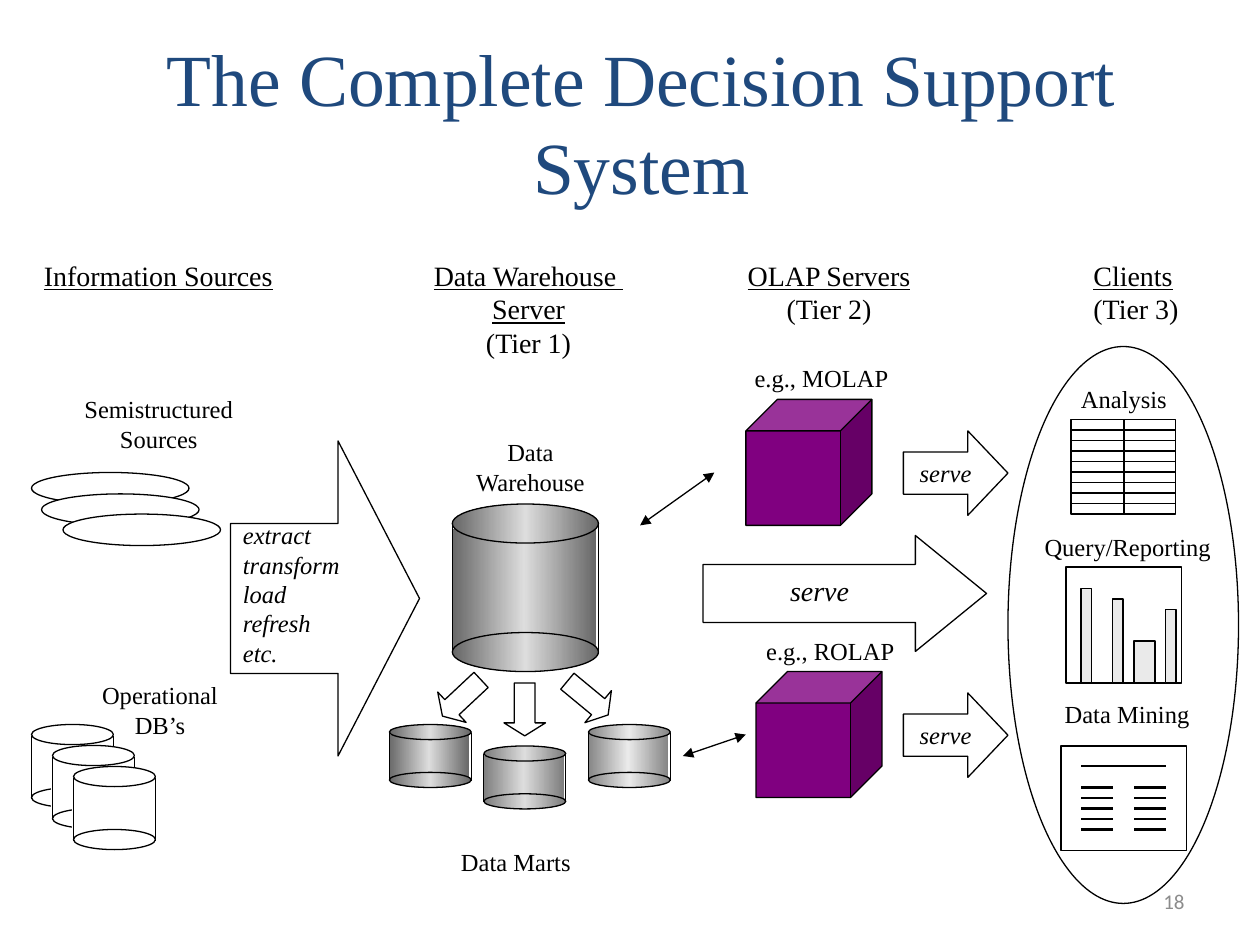
import copy

import lxml.etree
import pptx
import pptx.dml.color
import pptx.enum.shapes
import pptx.enum.text
import pptx.oxml.ns
import pptx.util

SHAPE = pptx.enum.shapes.MSO_SHAPE
ALIGN = pptx.enum.text.PP_ALIGN
ANCHOR = pptx.enum.text.MSO_ANCHOR
BLACK, WHITE, PURPLE, BAR_GRAY = "000000", "FFFFFF", "800080", "EAEAEA"
DARK_METAL = ("666666", "DDDDDD")
STEP = 1 / 12


def rgb(value):
    return pptx.dml.color.RGBColor.from_string(value)


def lengths(*inches):
    return [pptx.util.Cm(value * 2.54) for value in inches]


def write(shape, lines, size, color=BLACK, font="Times New Roman", align=ALIGN.CENTER,
          italic=False, underlined=0, wrap=False, anchor=ANCHOR.TOP):
    frame = shape.text_frame
    frame.word_wrap = wrap
    frame.vertical_anchor = anchor
    for index, line in enumerate(lines):
        paragraph = frame.add_paragraph() if index else frame.paragraphs[0]
        paragraph.alignment = align
        run = paragraph.add_run()
        run.text = line
        run.font.name = font
        run.font.size = pptx.util.Pt(size)
        run.font.color.rgb = rgb(color)
        run.font.italic = italic
        run.font.underline = index < underlined


def add_text(slide, box, lines, size=14, **style):
    write(slide.shapes.add_textbox(*lengths(*box)), lines, size, **style)


def fill_gradient(shape, edge, middle):
    shape.fill.gradient()
    shape.fill.gradient_angle = 0
    stop_list = shape.element.find(".//" + pptx.oxml.ns.qn("a:gsLst"))
    stop_list.insert(1, copy.deepcopy(stop_list[0]))
    for stop, position, color in zip(shape.fill.gradient_stops, (0, 0.5, 1), (edge, middle, edge)):
        stop.position = position
        stop.color.rgb = rgb(color)


def add_shape(slide, kind, box, fill=None, line=BLACK, weight=0.75, adjustments=(), rotation=0):
    shape = slide.shapes.add_shape(kind, *lengths(*box))
    shape.shadow.inherit = False
    shape.rotation = rotation
    for index, value in enumerate(adjustments):
        shape.adjustments[index] = value
    if fill is None:
        shape.fill.background()
    elif isinstance(fill, tuple):
        fill_gradient(shape, *fill)
    else:
        shape.fill.solid()
        shape.fill.fore_color.rgb = rgb(fill)
    shape.line.color.rgb = rgb(line)
    shape.line.width = pptx.util.Pt(weight)
    return shape


def add_line(slide, start, end, weight=0.75, arrows=False):
    connector = slide.shapes.add_connector(
        pptx.enum.shapes.MSO_CONNECTOR.STRAIGHT, *lengths(*start, *end))
    connector.line.color.rgb = rgb(BLACK)
    connector.line.width = pptx.util.Pt(weight)
    properties = connector.element.spPr
    if arrows:
        outline = properties.find(pptx.oxml.ns.qn("a:ln"))
        for name in ("a:headEnd", "a:tailEnd"):
            lxml.etree.SubElement(outline, pptx.oxml.ns.qn(name), type="triangle")
    lxml.etree.SubElement(properties, pptx.oxml.ns.qn("a:effectLst"))


def add_cylinder(slide, left, top, width, height, cap, fill):
    body = (left - 0.01, top + 0.63 * cap, width, height - 1.2 * cap)
    add_shape(slide, SHAPE.RECTANGLE, body, fill, WHITE)
    for side in (left, left + width):
        add_line(slide, (side, top + 0.55 * cap), (side, top + height - 0.45 * cap))
    for cap_top in (top, top + height - cap):
        add_shape(slide, SHAPE.OVAL, (left, cap_top, width, cap), fill)


def add_headings(slide):
    add_text(slide, (7.17, 6.95, 2.33, 0.4), ["18"], 12, color="8C8C8C", font="Calibri",
             align=ALIGN.RIGHT, wrap=True, anchor=ANCHOR.MIDDLE)
    add_text(slide, (0.43, 0.28, 9.32, 1.36), ["The Complete Decision Support System"], 42,
             color="1F497D", wrap=True, anchor=ANCHOR.MIDDLE)
    for left, width, lines, underlined, align in (
            (0.25, 2.03, ["Information Sources"], 1, ALIGN.LEFT),
            (3.33, 1.73, ["Data Warehouse ", "Server", "(Tier 1)"], 2, ALIGN.CENTER),
            (5.83, 1.5, ["OLAP Servers", "(Tier 2)"], 1, ALIGN.CENTER),
            (8.58, 0.89, ["Clients", "(Tier 3)"], 1, ALIGN.LEFT)):
        add_text(slide, (left, 2, width, 0.1 + 0.27 * len(lines)), lines, 16,
                 underlined=underlined, align=align)


def add_sources(slide):
    for left, top, fill in ((0.25, 3.75, None), (0.33, 3.92, WHITE), (0.5, 4.08, WHITE)):
        add_shape(slide, SHAPE.OVAL, (left, top, 1.25, 0.25), fill)
    for index in range(3):
        offset = 2 * STEP * index
        add_cylinder(slide, 0.25 + offset, 5.75 + offset, 0.65, 0.66, 0.16, WHITE)
    add_text(slide, (0.71, 5.35, 1.12, 0.57), ["Operational", "DB’s"])
    add_text(slide, (0.57, 3.08, 1.38, 0.57), ["Semistructured", "Sources"])
    add_shape(slide, SHAPE.RIGHT_ARROW, (1.83, 3.5, 1.5, 2.5), adjustments=(0.476, 0.431))
    add_text(slide, (1.83, 4.08, 0.97, 1.26), ["extract", "transform", "load", "refresh", "etc."],
             italic=True, align=ALIGN.LEFT)


def add_warehouse(slide):
    add_cylinder(slide, 3.59, 4, 1.16, 1.33, 0.31, DARK_METAL)
    for left, top, fill in ((3.09, 5.75, DARK_METAL), (3.84, 5.92, ("7C7C7C", "DDDDDD")),
                            (4.67, 5.75, ("838383", "EAEAEA"))):
        add_cylinder(slide, left, top, 0.65, 0.5, 0.12, fill)
    for left, top, rotation in ((3.5, 5.33, 46.9), (4, 5.42, 0), (4.5, 5.33, 309.6)):
        add_shape(slide, SHAPE.DOWN_ARROW, (left, top, 0.33, 0.42),
                  adjustments=(0.5, 0.312), rotation=rotation)
    add_text(slide, (3.56, 6.67, 1.07, 0.33), ["Data Marts"])
    add_text(slide, (3.67, 3.42, 1.08, 0.57), ["Data", "Warehouse"])


def add_servers(slide):
    for left, top in ((6, 5.33), (5.92, 3.17)):
        add_shape(slide, SHAPE.CUBE, (left, top, 1, 1), PURPLE, adjustments=(0.25,))
    add_text(slide, (5.89, 2.83, 1.26, 0.33), ["e.g., MOLAP"])
    add_text(slide, (5.98, 5, 1.22, 0.33), ["e.g., ROLAP"])
    add_shape(slide, SHAPE.RIGHT_ARROW, (5.58, 4.25, 2.25, 0.92), adjustments=(0.5, 0.614))
    add_text(slide, (6.17, 4.5, 0.67, 0.37), ["serve"], 16, italic=True)
    for top in (3.42, 5.5):
        arrow = add_shape(slide, SHAPE.RIGHT_ARROW, (7.17, top, 0.83, 0.67),
                          adjustments=(0.5, 0.475))
        write(arrow, ["serve"], 14, italic=True, anchor=ANCHOR.MIDDLE)
    add_line(slide, (5.08, 4.17), (5.67, 3.75), arrows=True)
    add_line(slide, (5.42, 6), (5.92, 5.83), arrows=True)


def add_analysis_grid(slide):
    left, right, top, bottom = 8.5, 9.33, 3.33, 4.08
    add_shape(slide, SHAPE.RECTANGLE, (left, top, right - left, bottom - top), weight=1)
    add_line(slide, (8.92, top), (8.92, bottom))
    for row in range(1, 9):
        height = top + row * STEP
        add_line(slide, (left, height), (right, height), 1 if row == 1 else 0.75)


def add_report_bars(slide):
    add_shape(slide, SHAPE.RECTANGLE, (8.46, 4.5, 0.92, 0.92))
    for left, width, height in ((8.58, 1, 9), (8.83, 1, 8), (9, 2, 4), (9.25, 1, 7)):
        box = (left, 5.42 - height * STEP, width * STEP, height * STEP)
        add_shape(slide, SHAPE.RECTANGLE, box, BAR_GRAY)


def add_mining_page(slide):
    add_shape(slide, SHAPE.RECTANGLE, (8.42, 5.92, 1, 0.83))
    add_line(slide, (8.58, 6.08), (9.25, 6.08), 1.5)
    for left in (8.58, 9):
        for row in range(5):
            height = 6.25 + row * STEP
            add_line(slide, (left, height), (left + 0.25, height), 1.5)


def add_clients(slide):
    add_shape(slide, SHAPE.OVAL, (8, 2.75, 1.83, 4.42))
    add_analysis_grid(slide)
    add_report_bars(slide)
    add_mining_page(slide)
    for left, top, width, label in ((8.48, 3, 0.88, "Analysis"),
                                    (8.19, 4.17, 1.52, "Query/Reporting"),
                                    (8.35, 5.5, 1.19, "Data Mining")):
        add_text(slide, (left, top, width, 0.33), [label])


def main():
    presentation = pptx.Presentation()
    presentation.slide_width, presentation.slide_height = lengths(10, 7.5)
    slide = presentation.slides.add_slide(presentation.slide_layouts[6])
    add_headings(slide)
    add_sources(slide)
    add_warehouse(slide)
    add_servers(slide)
    add_clients(slide)
    presentation.save("out.pptx")


main()
